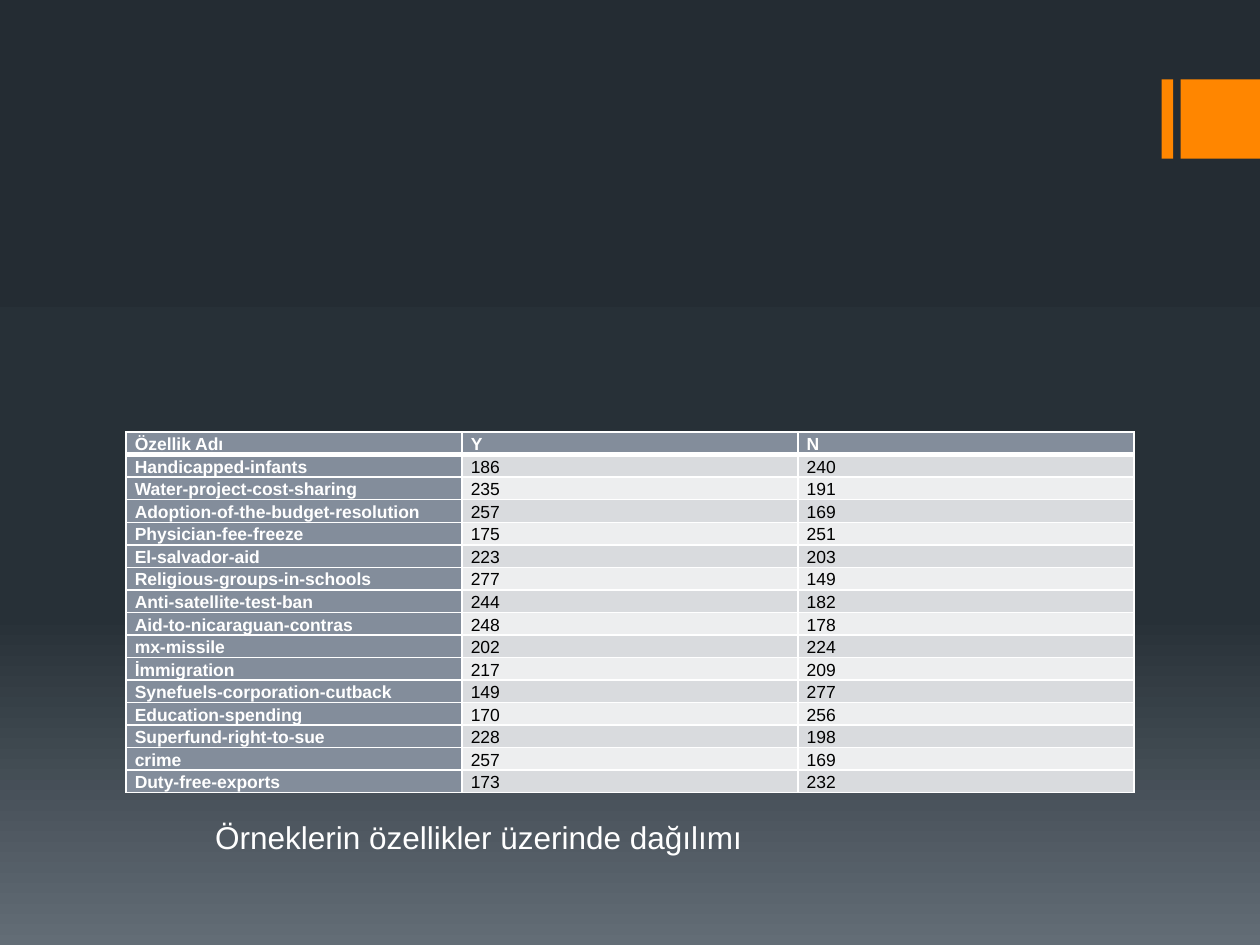
from dataclasses import dataclass

from lxml.etree import SubElement
from pptx import Presentation
from pptx.dml.color import RGBColor
from pptx.enum.shapes import MSO_SHAPE
from pptx.oxml.ns import qn
from pptx.util import Inches, Pt


@dataclass(frozen=True)
class Theme:
    font: str = "Arial"
    table_size: int = 10
    caption_size: int = 18
    light: str = "FFFFFF"
    dark: str = "000000"
    accent: str = "FF8600"
    heading: str = "838D9B"
    bands: tuple = ("D9DBDE", "EDEEEF")
    backdrop: tuple = ((0, "242C33"), (65, "273037"), (100, "636D76"))


THEME = Theme()

VOTES = [
    ("Özellik Adı", "Y", "N"),
    ("Handicapped-infants", 186, 240),
    ("Water-project-cost-sharing", 235, 191),
    ("Adoption-of-the-budget-resolution", 257, 169),
    ("Physician-fee-freeze", 175, 251),
    ("El-salvador-aid", 223, 203),
    ("Religious-groups-in-schools", 277, 149),
    ("Anti-satellite-test-ban", 244, 182),
    ("Aid-to-nicaraguan-contras", 248, 178),
    ("mx-missile", 202, 224),
    ("İmmigration", 217, 209),
    ("Synefuels-corporation-cutback", 149, 277),
    ("Education-spending", 170, 256),
    ("Superfund-right-to-sue", 228, 198),
    ("crime", 257, 169),
    ("Duty-free-exports", 173, 232),
]


def paint_backdrop(slide):
    slide.background.fill.gradient()
    gradient = slide.element.find(".//" + qn("a:gradFill"))
    for part in list(gradient):
        gradient.remove(part)
    stops = SubElement(gradient, qn("a:gsLst"))
    for percent, color in THEME.backdrop:
        stop = SubElement(stops, qn("a:gs"), pos=str(percent * 1000))
        SubElement(stop, qn("a:srgbClr"), val=color)
    SubElement(gradient, qn("a:lin"), ang="5400000", scaled="0")


def add_accent(slide, left, width):
    accent = slide.shapes.add_shape(
        MSO_SHAPE.RECTANGLE, Inches(left), Inches(0.63), Inches(width), Inches(0.63)
    )
    accent.shadow.inherit = False
    accent.fill.solid()
    accent.fill.fore_color.rgb = RGBColor.from_string(THEME.accent)
    accent.line.fill.background()


def format_text(paragraph, size, color, bold=False):
    for run in paragraph.runs:
        run.font.name = THEME.font
        run.font.size = Pt(size)
        run.font.bold = bold
        run.font.color.rgb = RGBColor.from_string(color)


def add_border(cell, side, points):
    properties = cell._tc.get_or_add_tcPr()
    border = SubElement(properties, qn(f"a:ln{side}"), w=str(Pt(points)))
    fill = SubElement(border, qn("a:solidFill"))
    SubElement(fill, qn("a:srgbClr"), val=THEME.light)


def fill_cell(cell, value, row, column):
    is_heading = row == 0 or column == 0
    cell.margin_left = cell.margin_right = Inches(0.07)
    cell.margin_top = cell.margin_bottom = 0
    for side in "LRTB":
        if row != 1 or side != "T":
            add_border(cell, side, 3 if row == 0 and side == "B" else 1)
    cell.fill.solid()
    color = THEME.heading if is_heading else THEME.bands[(row - 1) % 2]
    cell.fill.fore_color.rgb = RGBColor.from_string(color)
    paragraph = cell.text_frame.paragraphs[0]
    paragraph.text = str(value)
    paragraph.line_spacing = 1.15
    text_color = THEME.light if is_heading else THEME.dark
    format_text(paragraph, THEME.table_size, text_color, is_heading)


def add_votes(slide):
    votes = slide.shapes.add_table(
        len(VOTES), len(VOTES[0]), Inches(1), Inches(3.43), Inches(8), Inches(2.86)
    ).table
    for row, record in enumerate(VOTES):
        for column, value in enumerate(record):
            fill_cell(votes.cell(row, column), value, row, column)


def add_caption(slide, text):
    caption = slide.shapes.add_textbox(
        Inches(1.61), Inches(6.44), Inches(7.16), Inches(0.4)
    )
    caption.text_frame.word_wrap = True
    caption.text_frame.text = text
    format_text(caption.text_frame.paragraphs[0], THEME.caption_size, THEME.light)


def main():
    deck = Presentation()
    deck.slide_width, deck.slide_height = Inches(10), Inches(7.5)
    slide = deck.slides.add_slide(deck.slide_layouts[6])
    paint_backdrop(slide)
    for left, width in ((9.22, 0.09), (9.37, 0.63)):
        add_accent(slide, left, width)
    add_votes(slide)
    add_caption(slide, "Örneklerin özellikler üzerinde dağılımı")
    deck.save("out.pptx")


main()
